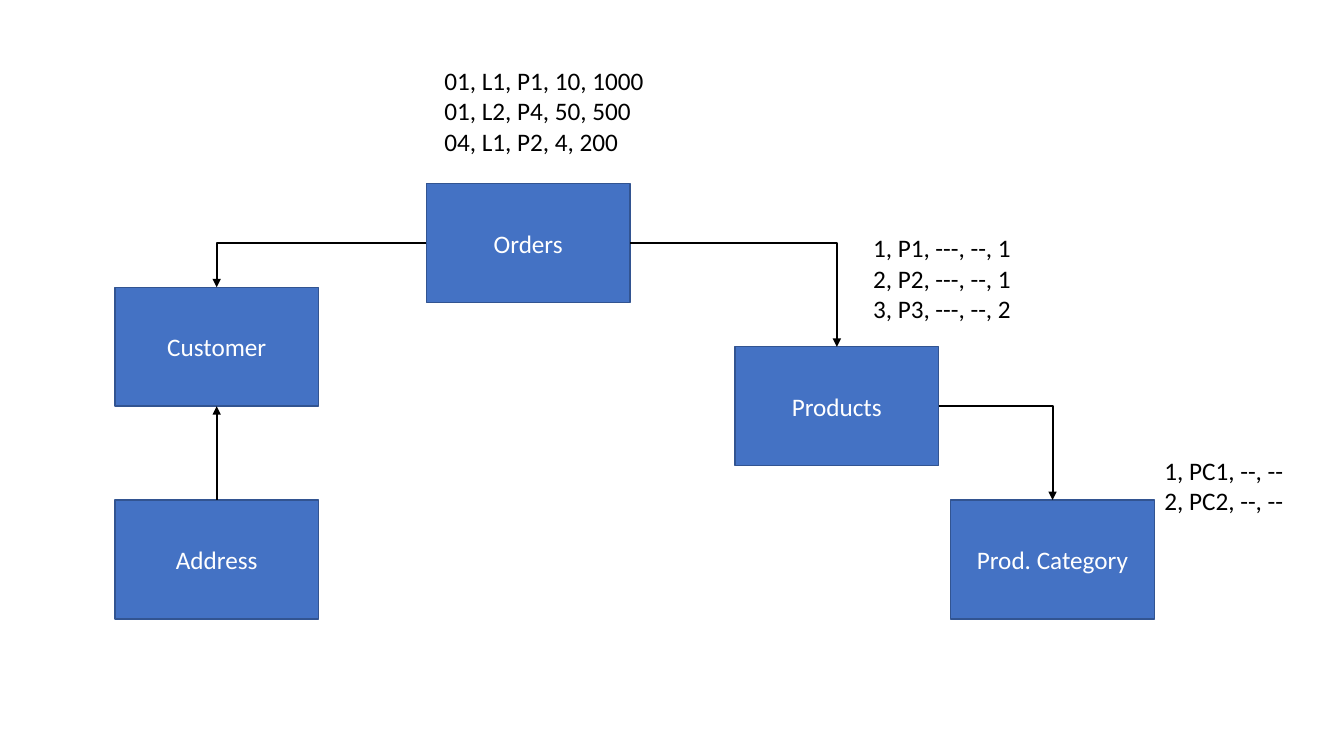
from dataclasses import dataclass
from typing import Any

from pptx import Presentation
from pptx.dml.color import RGBColor
from pptx.enum.shapes import MSO_CONNECTOR as Connector, MSO_SHAPE as Preset
from pptx.enum.text import MSO_ANCHOR as Anchor, MSO_AUTO_SIZE as AutoSize, PP_ALIGN as Align
from pptx.oxml.ns import qn
from pptx.oxml.xmlchemy import OxmlElement
from pptx.util import Inches, Pt

SLIDE_WIDTH, SLIDE_HEIGHT = Inches(13.33), Inches(7.5)
BOX_FILL, BOX_LINE, WHITE, BLACK = "4472C4", "325491", "FFFFFF", "000000"
FONT = {"name": "Calibri", "size": Pt(18)}
TOP, LEFT, BOTTOM, RIGHT = range(4)  # connection sites of a rectangle
BOX_WIDTH, BOX_HEIGHT = 15.15, 15.73
ROW_HEIGHT, NOTE_PADDING = 4.0, 1.4


@dataclass(frozen=True)
class Entity:
    """A box, placed in percent of the slide."""
    name: str
    left: float
    top: float


@dataclass(frozen=True)
class Relation:
    """An arrow from a side of one entity to a side of another."""
    source: str
    source_site: int
    target: str
    target_site: int
    bent: bool = True


@dataclass(frozen=True)
class SampleRows:
    """Example records, placed in percent of the slide."""
    left: float
    top: float
    width: float
    rows: tuple[str, ...]


ENTITIES = (
    Entity("Orders", 31.73, 24.27),
    Entity("Prod. Category", 70.74, 66.13),
    Entity("Products", 54.69, 45.87),
    Entity("Customer", 8.55, 38),
    Entity("Address", 8.55, 66.13),
)
RELATIONS = (
    Relation("Address", TOP, "Customer", BOTTOM, bent=False),
    Relation("Orders", LEFT, "Customer", TOP),
    Relation("Orders", RIGHT, "Products", TOP),
    Relation("Products", RIGHT, "Prod. Category", TOP),
)
SAMPLES = (
    SampleRows(32.33, 8, 16.5, ("01, L1, P1, 10, 1000", "01, L2, P4, 50, 500", "04, L1, P2, 4, 200")),
    SampleRows(64.22, 30.13, 11.93, ("1, P1, ---, --, 1", "2, P2, ---, --, 1", "3, P3, ---, --, 2")),
    SampleRows(85.9, 59.6, 10.43, ("1, PC1, --, --", "2, PC2, --, --")),
)


def color(hex_value: str) -> RGBColor:
    """Turn a hex string into a colour."""
    return RGBColor.from_string(hex_value)


def across(percent: float) -> int:
    """Give a share of the slide width."""
    return round(SLIDE_WIDTH * percent / 100)


def down(percent: float) -> int:
    """Give a share of the slide height."""
    return round(SLIDE_HEIGHT * percent / 100)


def apply(target: Any, values: dict[str, Any]) -> None:
    """Set each named attribute on the target."""
    for name, value in values.items():
        setattr(target, name, value)


def write(paragraph: Any, text: str, hex_value: str) -> None:
    """Put one formatted run into a paragraph."""
    run = paragraph.add_run()
    run.text = text
    apply(run.font, FONT)
    run.font.color.rgb = color(hex_value)


def draw_entity(slide: Any, entity: Entity) -> Any:
    """Draw a labelled box."""
    shape = slide.shapes.add_shape(Preset.RECTANGLE, across(entity.left), down(entity.top),
                                   across(BOX_WIDTH), down(BOX_HEIGHT))
    shape.shadow.inherit = False
    shape.fill.solid()
    shape.fill.fore_color.rgb = color(BOX_FILL)
    shape.line.color.rgb = color(BOX_LINE)
    shape.line.width = Pt(1)
    shape.text_frame.vertical_anchor = Anchor.MIDDLE
    paragraph = shape.text_frame.paragraphs[0]
    paragraph.alignment = Align.CENTER
    write(paragraph, entity.name, WHITE)
    return shape


def draw_relation(slide: Any, relation: Relation, boxes: dict[str, Any]) -> None:
    """Draw an arrow attached to two boxes, with one corner if bent."""
    kind = Connector.ELBOW if relation.bent else Connector.STRAIGHT
    connector = slide.shapes.add_connector(kind, 0, 0, 0, 0)
    connector.begin_connect(boxes[relation.source], relation.source_site)
    connector.end_connect(boxes[relation.target], relation.target_site)
    connector.line.color.rgb = color(BLACK)
    connector.line.width = Pt(1.5)
    properties = connector.element.spPr
    if relation.bent:
        properties.find(qn("a:prstGeom")).set("prst", "bentConnector2")
    arrowhead = OxmlElement("a:tailEnd")
    arrowhead.set("type", "triangle")
    properties.find(qn("a:ln")).append(arrowhead)
    properties.append(OxmlElement("a:effectLst"))


def draw_samples(slide: Any, sample: SampleRows) -> None:
    """Write example records, one paragraph each."""
    height = ROW_HEIGHT * len(sample.rows) + NOTE_PADDING
    box = slide.shapes.add_textbox(across(sample.left), down(sample.top),
                                   across(sample.width), down(height))
    frame = box.text_frame
    apply(frame, {"word_wrap": False, "auto_size": AutoSize.SHAPE_TO_FIT_TEXT})
    for index, row in enumerate(sample.rows):
        write(frame.add_paragraph() if index else frame.paragraphs[0], row, BLACK)


def main() -> None:
    """Build the entity diagram and save it."""
    presentation = Presentation()
    apply(presentation, {"slide_width": SLIDE_WIDTH, "slide_height": SLIDE_HEIGHT})
    slide = presentation.slides.add_slide(presentation.slide_layouts[6])
    boxes = {entity.name: draw_entity(slide, entity) for entity in ENTITIES}
    for relation in RELATIONS:
        draw_relation(slide, relation, boxes)
    for sample in SAMPLES:
        draw_samples(slide, sample)
    presentation.save("out.pptx")


main()
